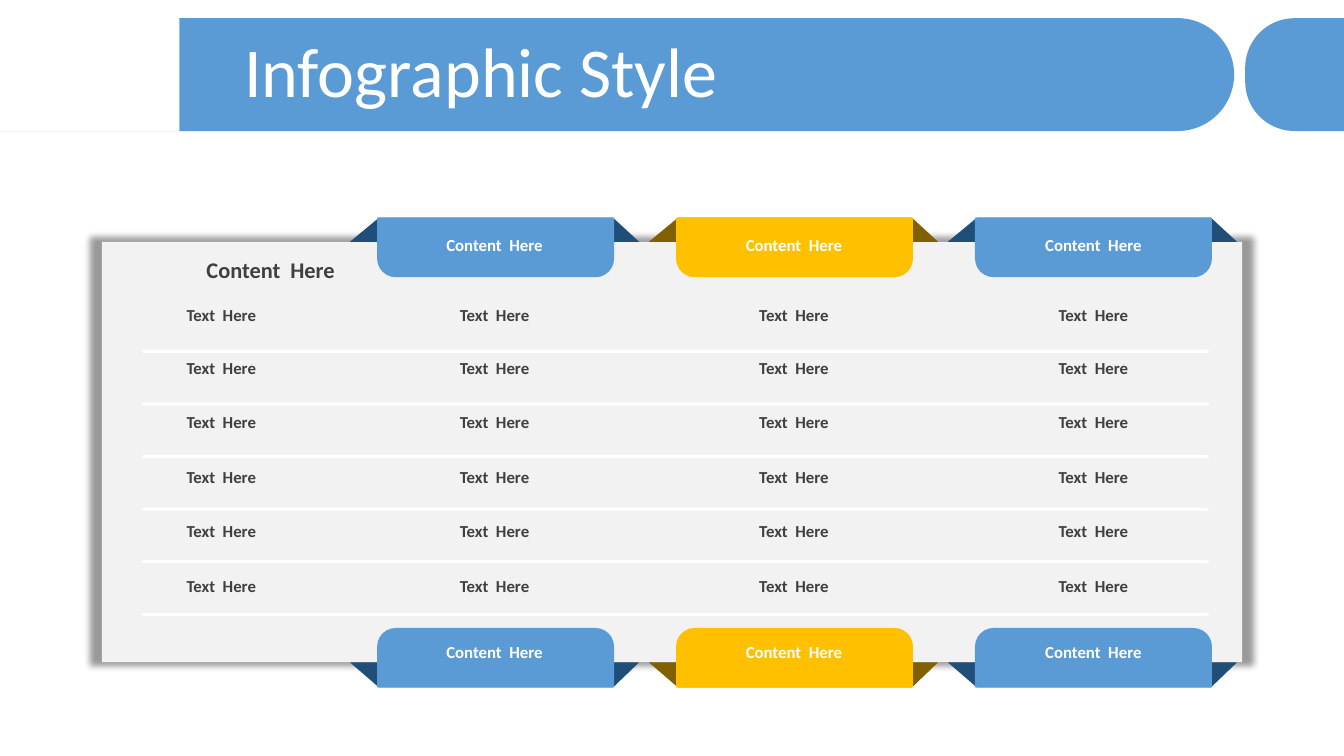
from lxml import etree
from pptx import Presentation
from pptx.dml.color import RGBColor
from pptx.enum.shapes import MSO_SHAPE as Preset
from pptx.enum.text import MSO_ANCHOR as Anchor, MSO_AUTO_SIZE as AutoSize, PP_ALIGN as Align
from pptx.oxml import parse_xml
from pptx.oxml.ns import qn
from pptx.util import Inches, Pt

FONT = "Calibri"
BLUE, NAVY = "5B9BD5", "1F4E79"
GOLD, BROWN = "FFC000", "806000"
WHITE, PALE, DARK = "FFFFFF", "F2F2F2", "404040"
TAB_COLORS = [(BLUE, NAVY), (GOLD, BROWN), (BLUE, NAVY)]
COLUMN_WIDTHS = [2.45, 2.97, 2.97, 2.97]
ROW_HEIGHTS = [0.86, 0.52] + [0.54] * 5 + [0.78]
HEADINGS = ["Content  Here"] * 4
ROWS = [HEADINGS] + [["Text  Here"] * 4 for _ in range(6)] + [[""] + HEADINGS[1:]]
NO_GRID_STYLE = "{2D5ABB26-0587-4C30-8999-92F81FD0307C}"
PANEL_SHADOW = (
    '<a:effectLst xmlns:a="http://schemas.openxmlformats.org/drawingml/2006/main">'
    '<a:outerShdw blurRad="63500" sx="102000" sy="102000" algn="ctr" rotWithShape="0">'
    '<a:srgbClr val="000000"><a:alpha val="40000"/></a:srgbClr>'
    "</a:outerShdw></a:effectLst>"
)


def color(value):
    return RGBColor.from_string(value)


def paint(shape, fill):
    shape.shadow.inherit = False
    shape.fill.solid()
    shape.fill.fore_color.rgb = color(fill)
    shape.line.fill.background()


def add_box(slide, preset, box, fill, rotation=0, adjustments=()):
    """Add a preset that fills box as seen after a quarter-turn rotation."""
    left, top, width, height = box
    if rotation % 180:
        left, top = left + (width - height) / 2, top + (height - width) / 2
        width, height = height, width
    shape = slide.shapes.add_shape(preset, *map(Inches, (left, top, width, height)))
    shape.rotation = rotation
    for index, value in enumerate(adjustments):
        shape.adjustments[index] = value
    paint(shape, fill)
    return shape


def add_header(slide, box, text):
    left, top, width, height = box
    tab_left = left + 12.35
    add_box(slide, Preset.ROUND_2_SAME_RECTANGLE, (left, top, 12.24, height), BLUE, 90, (0.5, 0))
    add_box(slide, Preset.RECTANGLE, (left, top, 1.78, height), WHITE)
    add_box(slide, Preset.ROUND_2_SAME_RECTANGLE,
            (tab_left, top, left + width - tab_left, height), BLUE, 270, (0.5, 0))

    title = slide.shapes.title
    title.left, title.top = Inches(left + 2.32), Inches(top + 0.19)
    title.width, title.height = Inches(10.69), Inches(0.79)
    title.element.getparent().append(title.element)  # bring in front of the band
    frame = title.text_frame
    frame.text = text
    frame.auto_size = AutoSize.NONE
    frame.word_wrap = True
    frame.vertical_anchor = Anchor.MIDDLE
    para = frame.paragraphs[0]
    para.alignment = Align.LEFT
    para.line_spacing = 0.8
    para.space_before = Pt(10)
    para.font.name, para.font.size = FONT, Pt(50)
    para.font.color.rgb = color(WHITE)


def add_panel(slide, box):
    left, top, width, height = box
    panel = add_box(slide, Preset.RECTANGLE, box, PALE)
    properties = panel.element.spPr
    properties.replace(properties.find(qn("a:effectLst")), parse_xml(PANEL_SHADOW))
    for row in range(6):
        rule = (left + 0.4, top + 1.07 + 0.522 * row, width - 0.73, 0.03)
        add_box(slide, Preset.ROUNDED_RECTANGLE, rule, WHITE, adjustments=(0.5,))


def add_ribbon_tab(slide, box, fill, fold_fill, edge, rotation):
    """Add a tab and its folds, which run from the tab's square end to the panel edge."""
    left, top, width, height = box
    outer = top if rotation else top + height
    points = [(left + 0.02, outer), (left + width - 0.01, outer), (left + 2.6, edge)]
    builder = slide.shapes.build_freeform(Inches(left - 0.27), Inches(edge))
    builder.add_line_segments([(Inches(x), Inches(y)) for x, y in points])
    paint(builder.convert_to_shape(), fold_fill)
    add_box(slide, Preset.ROUND_2_SAME_RECTANGLE, box, fill, rotation, (0.312, 0))


def add_ribbon_tabs(slide, panel_box):
    left, top, _, height = panel_box
    bottom = top + height
    for tab_top, edge, rotation in [(top - 0.24, top, 180), (bottom - 0.34, bottom, 0)]:
        for column, (fill, fold_fill) in enumerate(TAB_COLORS):
            tab = (left + 2.73 + 2.965 * column, tab_top, 2.35, 0.59)
            add_ribbon_tab(slide, tab, fill, fold_fill, edge, rotation)


def add_content_table(slide, left, top):
    size = (sum(COLUMN_WIDTHS), sum(ROW_HEIGHTS))
    frame = slide.shapes.add_table(len(ROWS), len(COLUMN_WIDTHS), *map(Inches, (left, top, *size)))
    table = frame.table
    table.first_row = table.horz_banding = False
    next(frame.element.iter(qn("a:tableStyleId"))).text = NO_GRID_STYLE
    for column, width in zip(table.columns, COLUMN_WIDTHS):
        column.width = Inches(width)
    for row, height in zip(table.rows, ROW_HEIGHTS):
        row.height = Inches(height)

    for row, texts in enumerate(ROWS):
        for column, text in enumerate(texts):
            cell = table.cell(row, column)
            corner = row == column == 0
            on_tab = column > 0 and row in (0, len(ROWS) - 1)
            cell.fill.background()
            cell.text = text
            cell.vertical_anchor = Anchor.BOTTOM if corner else Anchor.MIDDLE
            para = cell.text_frame.paragraphs[0]
            para.alignment = Align.RIGHT if corner else Align.CENTER
            para.font.name, para.font.bold = FONT, True
            para.font.size = Pt(16 if corner else 12)
            para.font.color.rgb = color(WHITE if on_tab else DARK)


def main():
    deck = Presentation()
    deck.slide_width, deck.slide_height = Inches(13.33), Inches(7.5)
    slide = deck.slides.add_slide(deck.slide_layouts[5])
    panel_box = (1.01, 2.4, 11.31, 4.17)
    add_header(slide, (0, 0.18, 13.33, 1.12), "Infographic Style")
    add_panel(slide, panel_box)
    add_ribbon_tabs(slide, panel_box)
    add_content_table(slide, 0.97, 2.01)
    deck.save("out.pptx")


if __name__ == "__main__":
    main()
